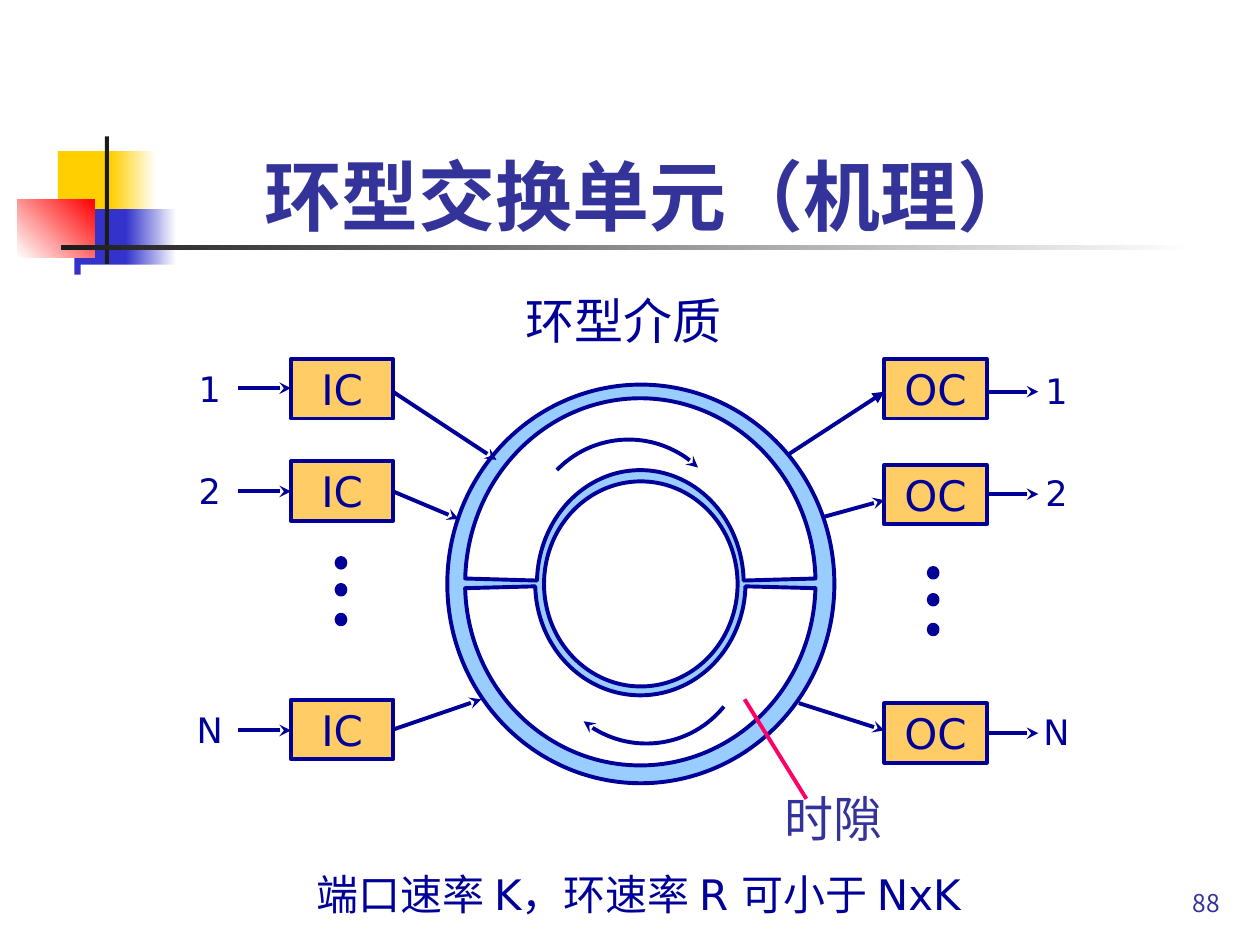
from dataclasses import dataclass

from pptx import Presentation
from pptx import util as u
from pptx.dml import color
from pptx.enum import shapes, text
from pptx.oxml import ns, xmlchemy

NAVY, INDIGO, AMBER, SKY, WHITE = "000099", "333399", "FFCC66", "99CCFF", "FFFFFF"
YELLOW, BLUE, RED, BLACK, PINK = "FFCF01", "3333CC", "FF0000", "1C1C1C", "FF0066"
LATIN, CJK = "DejaVu Sans", "Noto Sans CJK JP"
SHAPE = shapes.MSO_SHAPE
ALIGN = text.PP_ALIGN
ANCHOR = text.MSO_ANCHOR
LINE_WIDTH = 2.25
BOX_WIDTH, BOX_HEIGHT = 58.5, 34


@dataclass
class Patch:
    box: tuple
    start: str
    end: str = ""
    angle: float = 0


@dataclass
class Port:
    label: str
    top: float
    label_top: float
    arrow_y: float
    link: tuple
    head: str = "stealth"


@dataclass
class Side:
    name: str
    box_left: float
    label_left: float
    arrow_x: tuple
    dot_x: float
    dot_top: float
    ports: list


def rgb(value: str) -> color.RGBColor:
    return color.RGBColor.from_string(value)


def add_effect_list(props) -> None:
    props.append(xmlchemy.OxmlElement("a:effectLst"))


def add_head(shape, kind: str) -> None:
    head = xmlchemy.OxmlElement("a:tailEnd")
    head.set("type", kind)
    shape.element.spPr.find(ns.qn("a:ln")).append(head)


def draw_shape(page, kind, box: tuple, fill: str = "", outline: str = ""):
    shape = page.shapes.add_shape(kind, *map(u.Pt, box))
    shape.shadow.inherit = False
    if fill:
        shape.fill.solid()
        shape.fill.fore_color.rgb = rgb(fill)
    else:
        shape.fill.background()
    if outline:
        shape.line.color.rgb = rgb(outline)
        shape.line.width = u.Pt(LINE_WIDTH)
    else:
        shape.line.fill.background()
    return shape


def draw_patch(page, patch: Patch) -> None:
    shape = draw_shape(page, SHAPE.RECTANGLE, patch.box, patch.start)
    if patch.end:
        shape.fill.gradient()
        shape.fill.gradient_angle = patch.angle
        for stop, value in zip(shape.fill.gradient_stops, (patch.start, patch.end)):
            stop.color.rgb = rgb(value)


def draw_line(page, start: tuple, end: tuple, tint: str = NAVY, head: str = "") -> None:
    line = page.shapes.add_connector(
        shapes.MSO_CONNECTOR.STRAIGHT, *map(u.Pt, start + end))
    line.line.color.rgb = rgb(tint)
    line.line.width = u.Pt(LINE_WIDTH)
    if head:
        add_head(line, head)
    add_effect_list(line.element.spPr)


def write(shape, words: str, size: float, tint: str = NAVY, name: str = LATIN,
          bold: bool = False, align=ALIGN.CENTER, anchor=ANCHOR.MIDDLE,
          wrap: bool = False, inset: tuple = (7.2, 3.6)) -> None:
    frame = shape.text_frame
    across, down = map(u.Pt, inset)
    layout = {"word_wrap": wrap, "auto_size": text.MSO_AUTO_SIZE.NONE,
              "vertical_anchor": anchor, "margin_left": across,
              "margin_right": across, "margin_top": down, "margin_bottom": down}
    for key, value in layout.items():
        setattr(frame, key, value)
    para = frame.paragraphs[0]
    para.alignment = align
    span = para.add_run()
    span.text = words
    for key, value in {"size": u.Pt(size), "name": name, "bold": bold}.items():
        setattr(span.font, key, value)
    span.font.color.rgb = rgb(tint)
    east = xmlchemy.OxmlElement("a:ea")
    east.set("typeface", CJK)
    span.font._element.find(ns.qn("a:latin")).addnext(east)


def draw_text(page, box: tuple, words: str, size: float, **formats) -> None:
    write(page.shapes.add_textbox(*map(u.Pt, box)), words, size, **formats)


def draw_ring_arc(page, kind, box: tuple, angles: tuple, fill: str = "", depth: float = 0):
    arc = draw_shape(page, kind, box, fill, NAVY)
    for index, angle in enumerate(angles):
        arc.adjustments[index] = angle * 0.6
    if depth:
        arc.adjustments[2] = depth
    return arc


def draw_links(page, side: Side) -> None:
    for port in side.ports:
        draw_line(page, port.link[:2], port.link[2:], head=port.head)


def draw_side(page, side: Side) -> None:
    for port in side.ports:
        box = draw_shape(page, SHAPE.RECTANGLE,
                         (side.box_left, port.top, BOX_WIDTH, BOX_HEIGHT), AMBER, NAVY)
        write(box, side.name, 24)
        start, end = ((x, port.arrow_y) for x in side.arrow_x)
        draw_line(page, start, end, head="stealth")
        draw_text(page, (side.label_left, port.label_top, 32.4, BOX_HEIGHT), port.label, 20)
    for offset in (0, 15.4, 32.4):
        draw_shape(page, SHAPE.OVAL, (side.dot_x, side.dot_top + offset, 5, 5.5), NAVY, NAVY)


def draw_ring(page) -> None:
    ring = draw_shape(page, SHAPE.DONUT, (255.6, 219.8, 221.2, 227.8), SKY, NAVY)
    ring.adjustments[0] = 0.25
    draw_ring_arc(page, SHAPE.BLOCK_ARC, (265.8, 227.6, 200.2, 211.6), (181.6, 358.4), WHITE, 0.205)
    draw_ring_arc(page, SHAPE.BLOCK_ARC, (265.8, 229.6, 200.2, 207.8), (1.5, 178.5), WHITE, 0.2)
    for x, y, angles in ((359.3, 308.2, (224, 314)), (369.4, 367.9, (39, 129))):
        arc = draw_ring_arc(page, SHAPE.ARC, (x - 57, y - 57, 114, 114), angles)
        add_head(arc, "stealth")


PATCHES = [
    Patch((33.1, 86.4, 34.6, 37.4), YELLOW),
    Patch((63.4, 86.4, 25.9, 37.4), YELLOW, WHITE),
    Patch((42.5, 119.5, 33.1, 37.4), BLUE),
    Patch((72, 119.5, 28.8, 37.4), BLUE, WHITE),
    Patch((10, 113.8, 44, 33.1), WHITE, RED, 45),
    Patch((60, 78, 2.2, 72.8), BLACK),
    Patch((34.8, 140.2, 648, 2.4), BLACK, WHITE),
    Patch((46.1, 151.2, 635, 388.8), WHITE),
]
INPUTS = Side("IC", 166.3, 103.7, (136.1, 166.3), 192.4, 318.9, [
    Port("1", 205.2, 205.2, 221.8, (224.6, 223.9, 283.7, 262.8)),
    Port("2", 263.5, 263.5, 280.8, (224.6, 280.8, 262.1, 296.6)),
    Port("N", 399.8, 399.8, 417.4, (224.6, 416.9, 275, 399.6)),
])
OUTPUTS = Side("OC", 505.4, 587.5, (563.8, 593.3), 530.8, 324.6, [
    Port("1", 205.2, 206, 223.8, (445.7, 262.8, 505.4, 223.9), "triangle"),
    Port("2", 265.7, 264.4, 282.4, (460.8, 298.1, 505.4, 285.8)),
    Port("N", 401.8, 401, 419, (456.5, 401.8, 505.4, 417.4)),
])


def main() -> None:
    deck = Presentation()
    deck.slide_width, deck.slide_height = u.Pt(720), u.Pt(540)
    page = deck.slides.add_slide(deck.slide_layouts[5])
    title = page.shapes.title
    for key, value in {"left": 64.8, "top": 25.9, "width": 613.4, "height": 115.2}.items():
        setattr(title, key, u.Pt(value))
    write(title, "环型交换单元（机理）", 44, tint=INDIGO, name=CJK, bold=True,
          anchor=ANCHOR.BOTTOM, wrap=True)
    for patch in PATCHES:
        draw_patch(page, patch)
    draw_text(page, (554.4, 491.8, 149.8, 36), "88", 14, tint=INDIGO, name=CJK,
              align=ALIGN.RIGHT, anchor=ANCHOR.BOTTOM, wrap=True)
    draw_links(page, OUTPUTS)
    draw_ring(page)
    draw_links(page, INPUTS)
    for side in (INPUTS, OUTPUTS):
        draw_side(page, side)
    draw_text(page, (212.4, 493.9, 305.3, 33.1), "端口速率 K，环速率 R 可小于 NxK", 24, inset=(0, 0))
    draw_text(page, (317.5, 166.3, 77.8, 33.1), "环型介质", 28, inset=(0, 0))
    draw_text(page, (445, 450.7, 62.6, 33.1), "时隙", 28, tint=INDIGO, inset=(0, 0))
    draw_line(page, (425.5, 399.6), (460.8, 456.5), PINK)
    deck.save("out.pptx")


if __name__ == "__main__":
    main()
